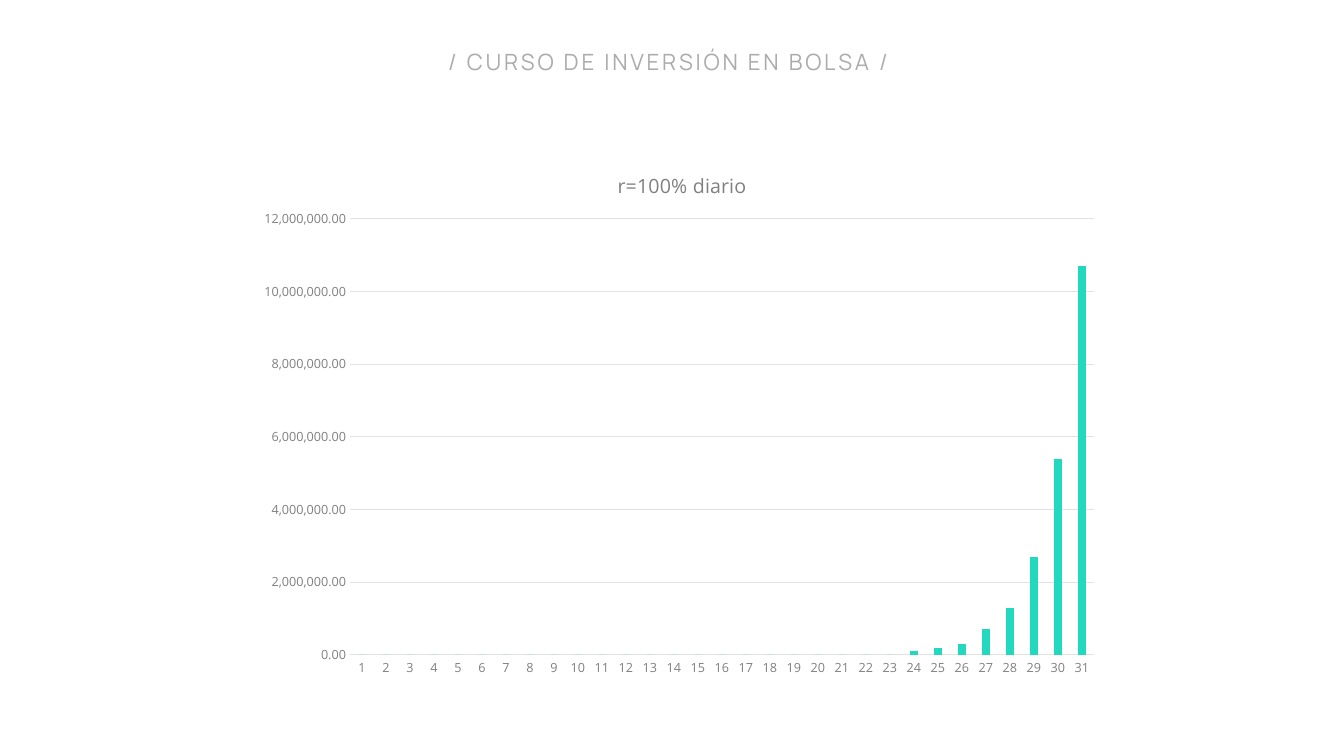
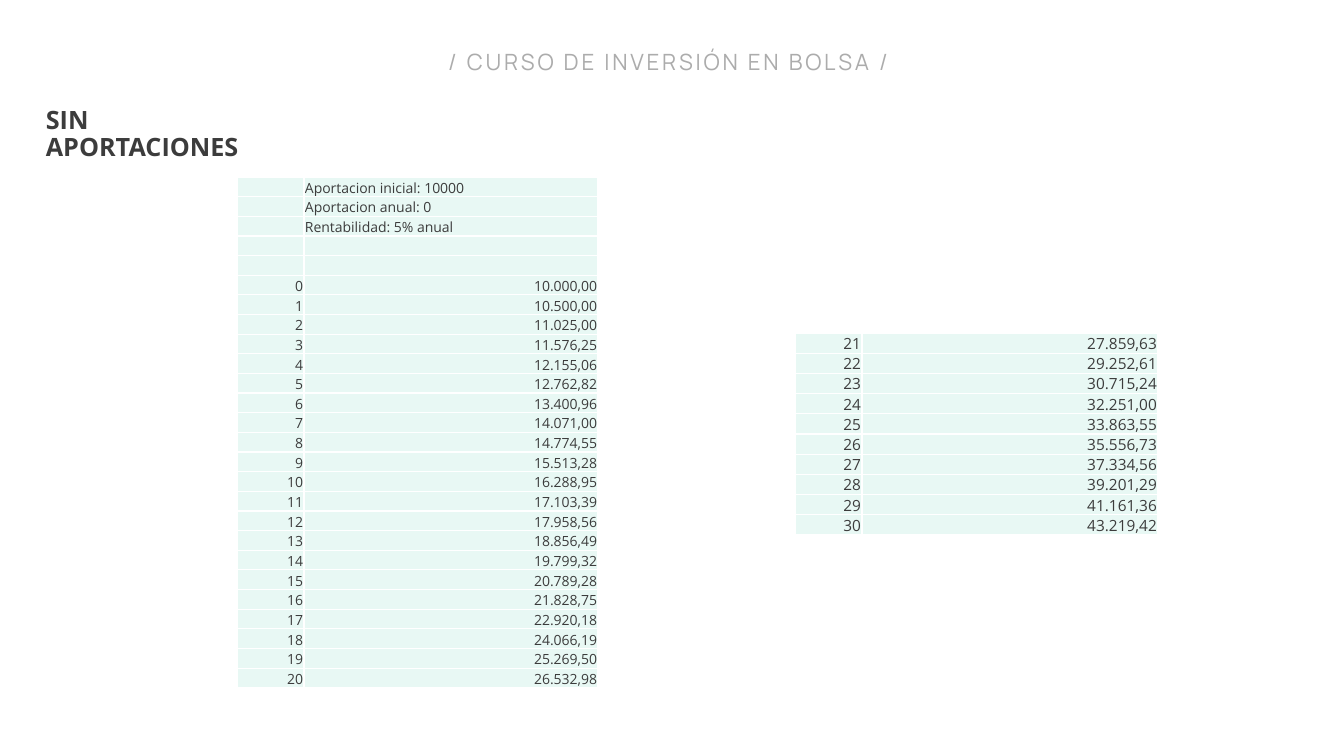
"""Build two slides on compound growth: a column chart and a pair of tables."""
from dataclasses import dataclass

from lxml import etree
from pptx import Presentation
from pptx.chart.data import CategoryChartData
from pptx.dml.color import RGBColor
from pptx.enum.chart import XL_CHART_TYPE, XL_TICK_MARK
from pptx.enum.text import MSO_ANCHOR, MSO_AUTO_SIZE, PP_ALIGN
from pptx.oxml.ns import qn
from pptx.util import Emu, Pt

COLUMNS = XL_CHART_TYPE.COLUMN_CLUSTERED
NO_TICK = XL_TICK_MARK.NONE
LEFT, CENTER, RIGHT = PP_ALIGN.LEFT, PP_ALIGN.CENTER, PP_ALIGN.RIGHT
BOTTOM = MSO_ANCHOR.BOTTOM
GROW = MSO_AUTO_SIZE.SHAPE_TO_FIT_TEXT
EMU_PER_PX = 914400 / 100.8


@dataclass(frozen=True)
class Theme:
    display: str = "Manrope"
    body: str = "Open Sans"
    ink: str = "3C3C3C"
    muted: str = "ACACAC"
    axis: str = "808080"
    grid: str = "E2E2E2"
    accent: str = "22D8BE"
    cell: str = "E8F8F4"
    border: str = "FFFFFF"
    header_size: int = 16
    heading_size: int = 18
    chart_title_size: int = 14
    chart_size: int = 10
    axis_size: int = 9
    line_spacing: float = 0.9


def px(n):
    return Emu(round(n * EMU_PER_PX))


def rgb(value):
    return RGBColor.from_string(value)


def apply(obj, **values):
    for name, value in values.items():
        setattr(obj, name, value)


def set_font(font, face, size, color, bold=False):
    apply(font, name=face, size=Pt(size), bold=bold)
    font.color.rgb = rgb(color)


def set_line(line, color, width=0.75):
    line.color.rgb = rgb(color)
    line.width = Pt(width)


def set_layout(parent, **values):
    layout = parent.find(qn("c:layout"))
    if layout is None:
        layout = etree.Element(qn("c:layout"))
        parent.insert(0, layout)
    manual = etree.SubElement(layout, qn("c:manualLayout"))
    for name, value in values.items():
        etree.SubElement(manual, qn(f"c:{name}"), val=str(value))


def spanish(value):
    return f"{value:,.2f}".translate(str.maketrans(",.", ".,"))


class Deck:
    def __init__(self, theme):
        self.theme = theme
        self.prs = Presentation()
        apply(self.prs, slide_width=px(1344), slide_height=px(756))
        self.s = None

    def slide(self):
        t = self.theme
        self.s = self.prs.slides.add_slide(self.prs.slide_layouts[6])
        r = self.text("/ CURSO DE INVERSIÓN EN BOLSA /", (418, 46, 501, 37),
                      t.display, t.header_size, t.muted, align=CENTER, wrap=False)
        r.font._element.set("spc", "200")

    def text(self, text, box, face, size, color, bold=False, align=LEFT, wrap=True):
        sp = self.s.shapes.add_textbox(*map(px, box))
        tf = sp.text_frame
        apply(tf, word_wrap=wrap, auto_size=GROW)
        p = tf.paragraphs[0]
        apply(p, alignment=align, line_spacing=self.theme.line_spacing)
        r = p.add_run()
        r.text = text
        set_font(r.font, face, size, color, bold)
        return r

    def heading(self, text, box):
        t = self.theme
        self.text(text, box, t.body, t.heading_size, t.ink, bold=True)

    def chart(self, title, cats, values, box, plot_box, title_at):
        t = self.theme
        data = CategoryChartData()
        data.categories = cats
        data.add_series("Series 1", values)
        chart = self.s.shapes.add_chart(COLUMNS, *map(px, box), data).chart
        chart.has_legend = False
        set_font(chart.font, t.body, t.chart_size, t.ink)

        p = chart.chart_title.text_frame.paragraphs[0]
        r = p.add_run()
        r.text = title
        set_font(r.font, t.body, t.chart_title_size, t.axis)

        plot = chart.plots[0]
        apply(plot, gap_width=219, overlap=-27, vary_by_categories=False)
        fill = plot.series[0].format.fill
        fill.solid()
        fill.fore_color.rgb = rgb(t.accent)

        cat_axis, val_axis = chart.category_axis, chart.value_axis
        for axis in (cat_axis, val_axis):
            apply(axis, major_tick_mark=NO_TICK, minor_tick_mark=NO_TICK)
            set_font(axis.tick_labels.font, t.body, t.axis_size, t.axis)
        set_line(cat_axis.format.line, t.grid)
        apply(val_axis, minimum_scale=0, maximum_scale=12_000_000,
              major_unit=2_000_000, has_major_gridlines=True)
        apply(val_axis.tick_labels, number_format="#,##0.00",
              number_format_is_linked=False)
        val_axis.format.line.fill.background()
        set_line(val_axis.major_gridlines.format.line, t.grid)

        left, top, width, height = box
        x, y, w, h = plot_box
        set_layout(chart._chartSpace.find(".//" + qn("c:plotArea")),
                   layoutTarget="inner", xMode="edge", yMode="edge",
                   x=(x - left) / width, y=(y - top) / height,
                   w=w / width, h=h / height)
        set_layout(chart.chart_title._element, xMode="edge", yMode="edge",
                   x=(title_at[0] - left) / width,
                   y=(title_at[1] - top) / height)

    def table(self, rows, box, first_width, size):
        frame = self.s.shapes.add_table(len(rows), 2, *map(px, box))
        table = frame.table
        apply(table, first_row=False, horz_banding=False)
        for col, width in zip(table.columns, (first_width, box[2] - first_width)):
            col.width = px(width)
        for i, row in enumerate(rows):
            align = RIGHT if row[0] else LEFT
            for j, text in enumerate(row):
                self.cell(table.cell(i, j), text, size, align)

    def cell(self, cell, text, size, align):
        t = self.theme
        apply(cell, vertical_anchor=BOTTOM, margin_left=px(1),
              margin_right=px(1), margin_top=px(1), margin_bottom=0)
        for side in "LRTB":
            ln = etree.SubElement(cell._tc.tcPr, qn(f"a:ln{side}"), w=str(Pt(1)))
            fill = etree.SubElement(ln, qn("a:solidFill"))
            etree.SubElement(fill, qn("a:srgbClr"), val=t.border)
        cell.fill.solid()
        cell.fill.fore_color.rgb = rgb(t.cell)
        p = cell.text_frame.paragraphs[0]
        apply(p, alignment=align, line_spacing=t.line_spacing)
        if text:
            r = p.add_run()
            r.text = text
            set_font(r.font, t.body, size, t.ink)
        etree.SubElement(p._p, qn("a:endParaRPr"), sz=str(size * 100))


def main():
    deck = Deck(Theme())

    deck.slide()
    days = range(1, 32)
    deck.chart("r=100% diario", [str(day) for day in days],
               [round(0.01 * 2 ** (day - 1), -5) for day in days],
               box=(247, 146, 865, 541), plot_box=(350, 219, 744, 436),
               title_at=(614, 167))

    deck.slide()
    terms = ["Aportacion inicial: 10000", "Aportacion anual: 0",
             "Rentabilidad: 5% anual", "", ""]
    balances = [(str(year), spanish(10000 * 1.05 ** year)) for year in range(31)]
    deck.table([("", term) for term in terms] + balances[:21],
               (237, 177, 361, 511), first_width=67, size=10)
    deck.table(balances[21:], (795, 333, 363, 202), first_width=67, size=11)
    deck.heading("SIN APORTACIONES", (36, 103, 260, 40))

    deck.prs.save("out.pptx")


if __name__ == "__main__":
    main()
